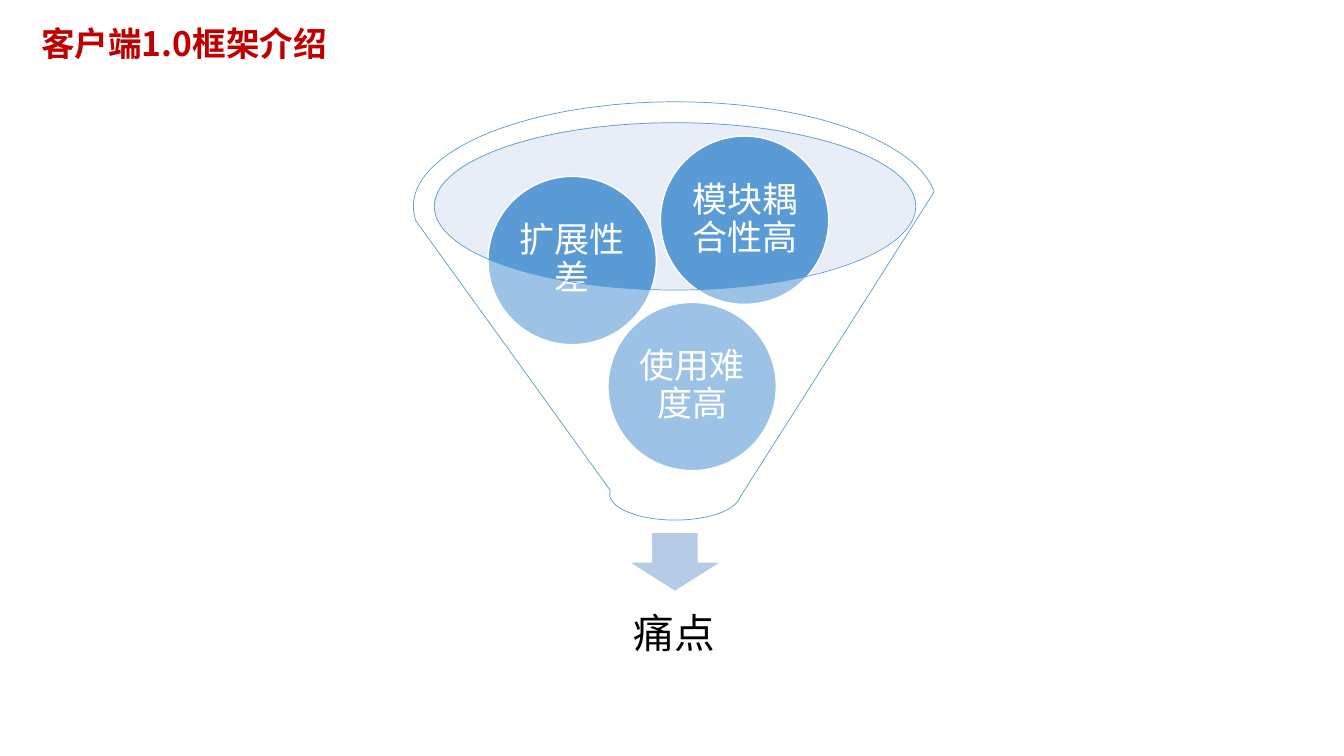
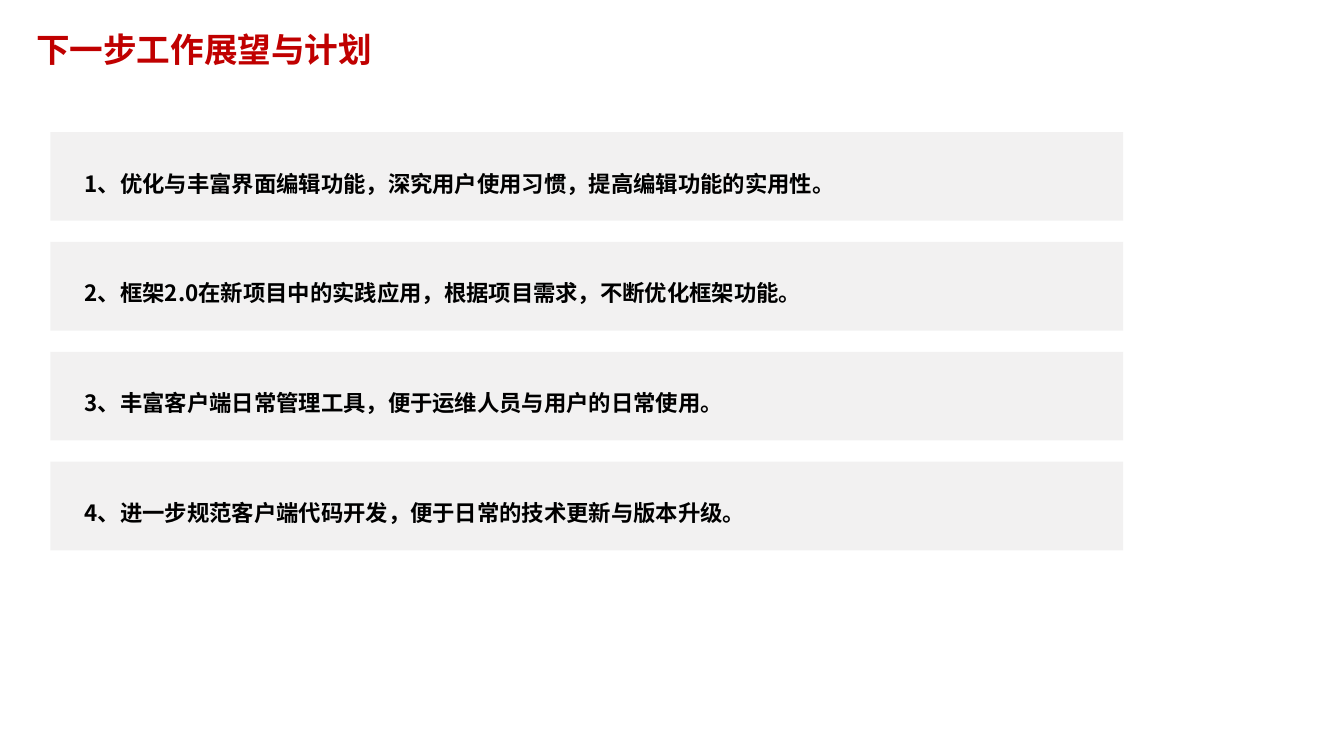
from lxml.etree import SubElement
from pptx import Presentation
from pptx.dml.color import RGBColor
from pptx.enum.shapes import MSO_SHAPE
from pptx.enum.text import MSO_ANCHOR, PP_ALIGN
from pptx.oxml.ns import qn
from pptx.util import Inches, Pt

RED, BLACK, WHITE = "C00000", "000000", "FFFFFF"
BLUE, PALE_BLUE, ARROW_BLUE = "5B9BD5", "C4D5EB", "B5CBE7"
GREY = "D0CECE"
CJK_FONT = "Noto Sans CJK SC"

# Left and top of each circle, relative to the funnel, from back to front
CIRCLES = [
    ("使用难度高", 1.93, 1.99),
    ("扩展性差", 0.74, 0.74),
    ("模块耦合性高", 2.45, 0.34),
]
PLANS = [
    "1、优化与丰富界面编辑功能，深究用户使用习惯，提高编辑功能的实用性。",
    "2、框架2.0在新项目中的实践应用，根据项目需求，不断优化框架功能。",
    "3、丰富客户端日常管理工具，便于运维人员与用户的日常使用。",
    "4、进一步规范客户端代码开发，便于日常的技术更新与版本升级。",
]


def color(value):
    return RGBColor.from_string(value)


def add_box(page, kind, left, top, width, height, fill, opacity=100, line=None, weight=1):
    """Add a preset shape; opacity is a percentage, no line unless a colour is given."""
    box = page.shapes.add_shape(kind, Inches(left), Inches(top), Inches(width), Inches(height))
    box.shadow.inherit = False
    box.fill.solid()
    box.fill.fore_color.rgb = color(fill)
    if opacity < 100:
        fill_color = box.fill._xPr.find(qn("a:solidFill"))[0]
        SubElement(fill_color, qn("a:alpha"), val=str(opacity * 1000))
    if line:
        box.line.color.rgb = color(line)
        box.line.width = Pt(weight)
    else:
        box.line.fill.background()
    return box


def write(box, text, size, ink, font="Arial", bold=False, align=PP_ALIGN.LEFT,
          anchor=MSO_ANCHOR.MIDDLE, spacing=0.9, inset=None):
    frame = box.text_frame
    frame.word_wrap = True
    frame.vertical_anchor = anchor
    if inset is not None:
        frame.margin_left = frame.margin_right = Inches(inset)
        frame.margin_top = frame.margin_bottom = Inches(inset)
    para = frame.paragraphs[0]
    para.text = text
    para.alignment = align
    para.line_spacing = spacing
    para.font.name = font
    para.font.size = Pt(size)
    para.font.bold = bold
    para.font.color.rgb = color(ink)
    SubElement(para.font._element, qn("a:ea"), typeface=CJK_FONT)


def add_text(page, left, top, width, height, text, size, ink, **style):
    box = page.shapes.add_textbox(Inches(left), Inches(top), Inches(width), Inches(height))
    write(box, text, size, ink, **style)


def add_page(deck, title, left, top, font):
    page = deck.slides.add_slide(deck.slide_layouts[6])
    add_text(page, left, top, 9.43, 0.52, title, 24, RED, font=font, bold=True,
             anchor=MSO_ANCHOR.TOP)
    return page


def add_funnel(page, left, top):
    """Circles falling through a funnel, with an arrow to the outcome below."""
    add_box(page, MSO_SHAPE.OVAL, left + 0.2, top + 0.2, 4.78, 1.66, PALE_BLUE, 40)
    add_box(page, MSO_SHAPE.DOWN_ARROW, left + 2.13, top + 4.27, 0.93, 0.59,
            ARROW_BLUE, line=WHITE)
    add_text(page, left + 0.37, top + 4.74, 4.44, 1.11, "痛点", 29, BLACK,
             align=PP_ALIGN.CENTER, inset=0.23)
    for text, across, down in CIRCLES:
        circle = add_box(page, MSO_SHAPE.OVAL, left + across, top + down, 1.67, 1.67,
                         BLUE, line=WHITE)
        write(circle, text, 25, WHITE, align=PP_ALIGN.CENTER, inset=0.03)
    add_box(page, MSO_SHAPE.FUNNEL, left, top, 5.19, 4.15, WHITE, 40, BLUE, 0.5)


def add_plan_bars(page, left, top, width, height, pitch):
    for index, plan in enumerate(PLANS):
        bar = add_box(page, MSO_SHAPE.RECTANGLE, left, top + index * pitch, width, height,
                      GREY, 27)
        write(bar, plan, 16, BLACK, font=CJK_FONT, bold=True, spacing=1.5)
        bar.text_frame.margin_left = Inches(0.34)


def main():
    deck = Presentation()
    deck.slide_width, deck.slide_height = Inches(13.33), Inches(7.5)
    add_funnel(add_page(deck, "客户端1.0框架介绍", 0.31, 0.22, CJK_FONT), 4.1, 1.01)
    add_plan_bars(add_page(deck, "下一步工作展望与计划", 0.26, 0.28, "Arial"),
                  0.5, 1.31, 10.64, 0.88, 1.09)
    deck.save("out.pptx")


if __name__ == "__main__":
    main()
